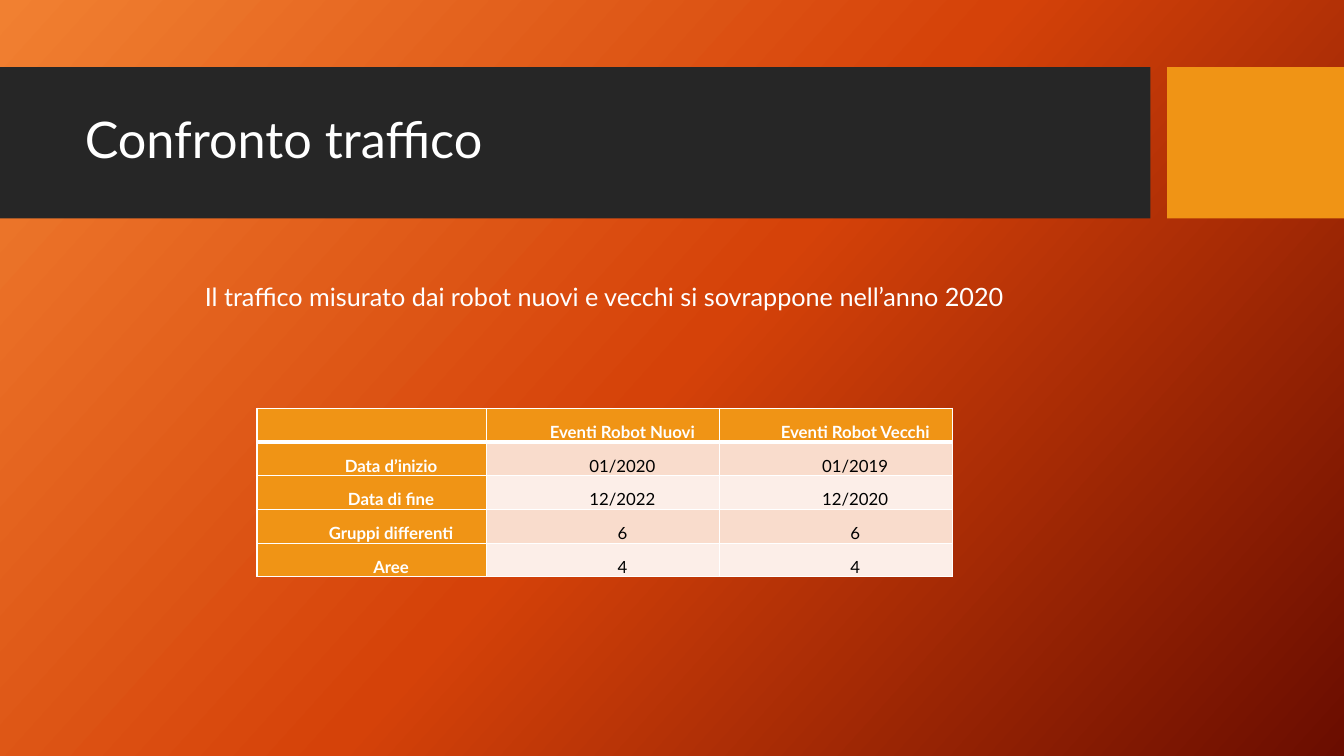
from copy import deepcopy

from lxml import etree
from pptx import Presentation
from pptx.dml.color import RGBColor
from pptx.enum.shapes import MSO_SHAPE
from pptx.enum.text import MSO_ANCHOR, MSO_AUTO_SIZE, PP_ALIGN
from pptx.oxml.ns import qn
from pptx.util import Pt

RECTANGLE = MSO_SHAPE.RECTANGLE
LEFT, CENTER = PP_ALIGN.LEFT, PP_ALIGN.CENTER
TOP, MIDDLE = MSO_ANCHOR.TOP, MSO_ANCHOR.MIDDLE
FIT_SHAPE = MSO_AUTO_SIZE.SHAPE_TO_FIT_TEXT

WHITE = RGBColor(0xFF, 0xFF, 0xFF)
BLACK = RGBColor(0x00, 0x00, 0x00)
CHARCOAL = RGBColor(0x26, 0x26, 0x26)
AMBER = RGBColor(0xF0, 0x94, 0x15)
PEACH = RGBColor(0xF9, 0xDC, 0xCC)
PALE_PEACH = RGBColor(0xFC, 0xEE, 0xE8)
GRADIENT = [
    (0, RGBColor(0xF1, 0x80, 0x31)),
    (0.5, RGBColor(0xD5, 0x42, 0x09)),
    (1, RGBColor(0x6A, 0x0D, 0x00)),
]

TRAFFIC = [
    ("", "Eventi Robot Nuovi", "Eventi Robot Vecchi"),
    ("Data d’inizio", "01/2020", "01/2019"),
    ("Data di fine", "12/2022", "12/2020"),
    ("Gruppi differenti", "6", "6"),
    ("Aree", "4", "4"),
]


def write_text(frame, text, size=12, color=WHITE, bold=False, align=LEFT,
               spacing=None, indent=0):
    paragraph = frame.paragraphs[0]
    paragraph.alignment = align
    if spacing is not None:
        paragraph.line_spacing = spacing
    if indent:
        paragraph._p.get_or_add_pPr().set("marL", str(Pt(indent)))
    run = paragraph.add_run()
    run.text = text
    run.font.name = "Lato"
    run.font.size = Pt(size)
    run.font.bold = bold
    run.font.color.rgb = color


def set_borders(cell, bottom):
    """Draw white cell edges, 1 pt wide except for the bottom one."""
    properties = cell._tc.get_or_add_tcPr()
    widths = {"a:lnL": 1, "a:lnR": 1, "a:lnT": 1, "a:lnB": bottom}
    for position, (edge, width) in enumerate(widths.items()):
        line = etree.Element(qn(edge), w=str(Pt(width)))
        fill = etree.SubElement(line, qn("a:solidFill"))
        etree.SubElement(fill, qn("a:srgbClr"), val=str(WHITE))
        properties.insert(position, line)


class SlideBuilder:
    def __init__(self, slide):
        self.slide = slide

    def background(self, stops, clockwise_angle):
        fill = self.slide.background.fill
        fill.gradient()
        fill.gradient_angle = 360 - clockwise_angle
        stop_list = self.slide.element.find(".//" + qn("a:gsLst"))
        stop_list.append(deepcopy(stop_list[0]))
        for stop, (position, color) in zip(fill.gradient_stops, stops):
            stop.position = position
            stop.color.rgb = color

    def band(self, left, top, width, height, color):
        band = self.slide.shapes.add_shape(
            RECTANGLE, Pt(left), Pt(top), Pt(width), Pt(height))
        band.shadow.inherit = False
        band.fill.solid()
        band.fill.fore_color.rgb = color
        band.line.fill.background()

    def text(self, left, top, width, height, text, anchor=TOP, wrap=True,
             auto_size=None, **text_format):
        box = self.slide.shapes.add_textbox(
            Pt(left), Pt(top), Pt(width), Pt(height))
        frame = box.text_frame
        frame.word_wrap = wrap
        frame.vertical_anchor = anchor
        if auto_size is not None:
            frame.auto_size = auto_size
        write_text(frame, text, **text_format)

    def table(self, left, top, column_widths, row_height, rows):
        table = self.slide.shapes.add_table(
            len(rows), len(column_widths), Pt(left), Pt(top),
            Pt(sum(column_widths)), Pt(row_height * len(rows))).table
        for column, width in zip(table.columns, column_widths):
            column.width = Pt(width)
        for row_index, labels in enumerate(rows):
            table.rows[row_index].height = Pt(row_height)
            for column_index, label in enumerate(labels):
                is_header = row_index == 0 or column_index == 0
                stripe = PEACH if row_index % 2 else PALE_PEACH
                cell = table.cell(row_index, column_index)
                cell.margin_left = cell.margin_right = Pt(5)
                cell.margin_top = cell.margin_bottom = 0
                cell.fill.solid()
                cell.fill.fore_color.rgb = AMBER if is_header else stripe
                set_borders(cell, bottom=3 if row_index == 0 else 1)
                write_text(cell.text_frame, label, bold=is_header,
                           color=WHITE if is_header else BLACK,
                           align=CENTER, spacing=Pt(24), indent=27.36)


def main():
    presentation = Presentation()
    presentation.slide_width = Pt(960)
    presentation.slide_height = Pt(540)
    builder = SlideBuilder(
        presentation.slides.add_slide(presentation.slide_layouts[6]))

    builder.background(GRADIENT, clockwise_angle=42)
    builder.band(0, 48, 821.8, 108, CHARCOAL)
    builder.band(833.6, 48, 126.4, 108, AMBER)
    builder.text(53.5, 59, 756.5, 85, "Confronto traffico", anchor=MIDDLE,
                 size=36, spacing=0.9)
    builder.table(183.6, 291.6, [164.2, 166.3, 166.3], 24.1, TRAFFIC)
    builder.text(
        128.9, 197.3, 605.5, 51,
        "Il traffico misurato dai robot nuovi e vecchi si sovrappone "
        "nell’anno 2020",
        wrap=False, auto_size=FIT_SHAPE, size=18, align=CENTER)

    presentation.save("out.pptx")


if __name__ == "__main__":
    main()
